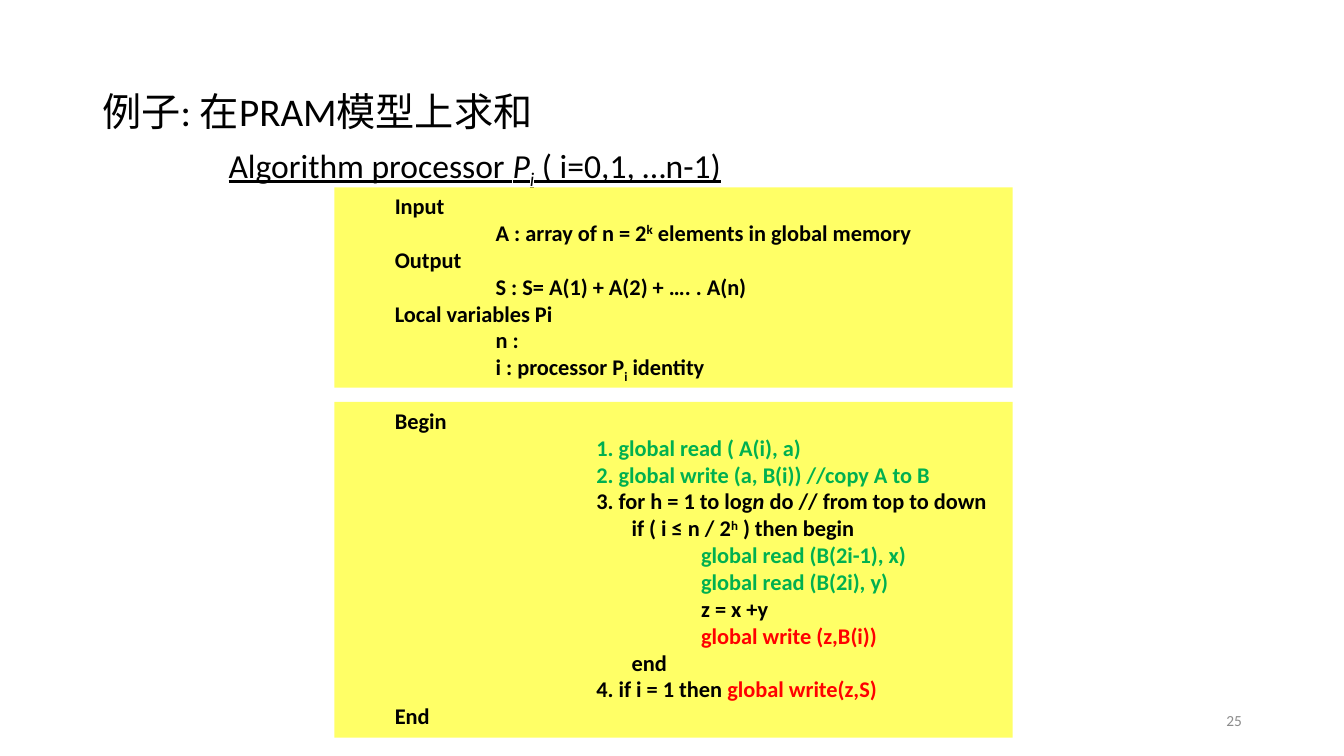
import pptx
import pptx.util
import pptx.dml.color
import pptx.enum.shapes
import pptx.enum.text

Cm, Pt = pptx.util.Cm, pptx.util.Pt
ANCHOR = pptx.enum.text.MSO_ANCHOR
ALIGN = pptx.enum.text.PP_ALIGN


def rgb(value):
    return pptx.dml.color.RGBColor.from_string(value)


def write(p, runs, **base):
    """Add runs, each a text and the format values that differ from base."""
    for text, changes in runs:
        r = p.add_run()
        r.text = text
        fmt = {"name": "Calibri", "color": "000000", **base, **changes}
        r.font.color.rgb = rgb(fmt.pop("color"))
        shift = fmt.pop("shift", 0)
        if shift:
            r._r.get_or_add_rPr().set("baseline", str(shift * 1000))
        for key, value in fmt.items():
            setattr(r.font, key, value)


prs = pptx.Presentation()
prs.slide_width, prs.slide_height = Cm(33.87), Cm(19.05)
s = prs.slides.add_slide(prs.slide_layouts[6])

# Run formats and indent levels
plain, italic = {}, {"italic": True}
sub, sup = {"shift": -25}, {"shift": 30}
green, red = {"color": "00B050"}, {"color": "FF0000"}
outer, declared, step, branch, inner = 1.27, 3.81, 6.35, 7.24, 8.99

# Title, subtitle and slide number
lines = [
    ((2.33, 1.02, 29.21, 3.68), ANCHOR.MIDDLE, ALIGN.LEFT, 0.9,
     [("例子: 在PRAM模型上求和", plain)], {"size": Pt(28)}),
    ((5.51, 3.53, 22.86, 1.68), ANCHOR.TOP, ALIGN.LEFT, 0.9,
     [("Algorithm processor ", plain), ("P", italic),
      ("i", {**italic, **sub}), (" ( i=0,1, …n-1)", plain)],
     {"size": Pt(24), "underline": True}),
    ((23.93, 17.65, 7.62, 1.02), ANCHOR.MIDDLE, ALIGN.RIGHT, 1.0,
     [("25", plain)], {"size": Pt(11), "color": "8C8C8C"}),
]
for place, anchor, align, spacing, runs, base in lines:
    tf = s.shapes.add_textbox(*map(Cm, place)).text_frame
    tf.word_wrap = True
    tf.vertical_anchor = anchor
    p = tf.paragraphs[0]
    p.alignment, p.line_spacing = align, spacing
    write(p, runs, **base)

# Algorithm text: indent and runs of each line
declarations = [
    (outer, [("Input", plain)]),
    (declared, [("A : array of n = 2", plain), ("k", sup),
                (" elements in global memory", plain)]),
    (outer, [("Output", plain)]),
    (declared, [("S : S= A(1) + A(2) + …. . A(n)", plain)]),
    (outer, [("Local variables Pi", plain)]),
    (declared, [("n :", plain)]),
    (declared, [("i : processor P", plain), ("i", sub), (" identity", plain)]),
]
body = [
    (outer, [("Begin", plain)]),
    (step, [("1. global read ( A(i), a)", green)]),
    (step, [("2. global write (a, B(i)) //copy A to B", green)]),
    (step, [("3. for h = 1 to log", plain), ("n", italic),
            (" do // from top to down", plain)]),
    (branch, [("if ( i ≤ n / 2", plain), ("h", sup), (" ) then begin", plain)]),
    (inner, [("global read (B(2i-1), x)", green)]),
    (inner, [("global read (B(2i), y)", green)]),
    (inner, [("z = x +y", plain)]),
    (inner, [("global write (z,B(i))", red)]),
    (branch, [("end", plain)]),
    (step, [("4. if i = 1 then ", plain), ("global write(z,S)", red)]),
    (outer, [("End", plain)]),
]

# Yellow algorithm panels
for top, height, rows in [(4.72, 5.05, declarations), (10.13, 8.46, body)]:
    sp = s.shapes.add_shape(pptx.enum.shapes.MSO_SHAPE.RECTANGLE,
                            Cm(8.43), Cm(top), Cm(17.09), Cm(height))
    sp.shadow.inherit = False
    sp.fill.solid()
    sp.fill.fore_color.rgb = rgb("FFFF66")
    sp.line.fill.background()
    tf = sp.text_frame
    tf.word_wrap = True
    tf.vertical_anchor = ANCHOR.TOP
    for i, (indent, runs) in enumerate(rows):
        p = tf.add_paragraph() if i else tf.paragraphs[0]
        p.alignment = ALIGN.LEFT
        p._p.get_or_add_pPr().set("marL", str(Cm(indent)))
        write(p, runs, size=Pt(16), bold=True)

prs.save("out.pptx")
